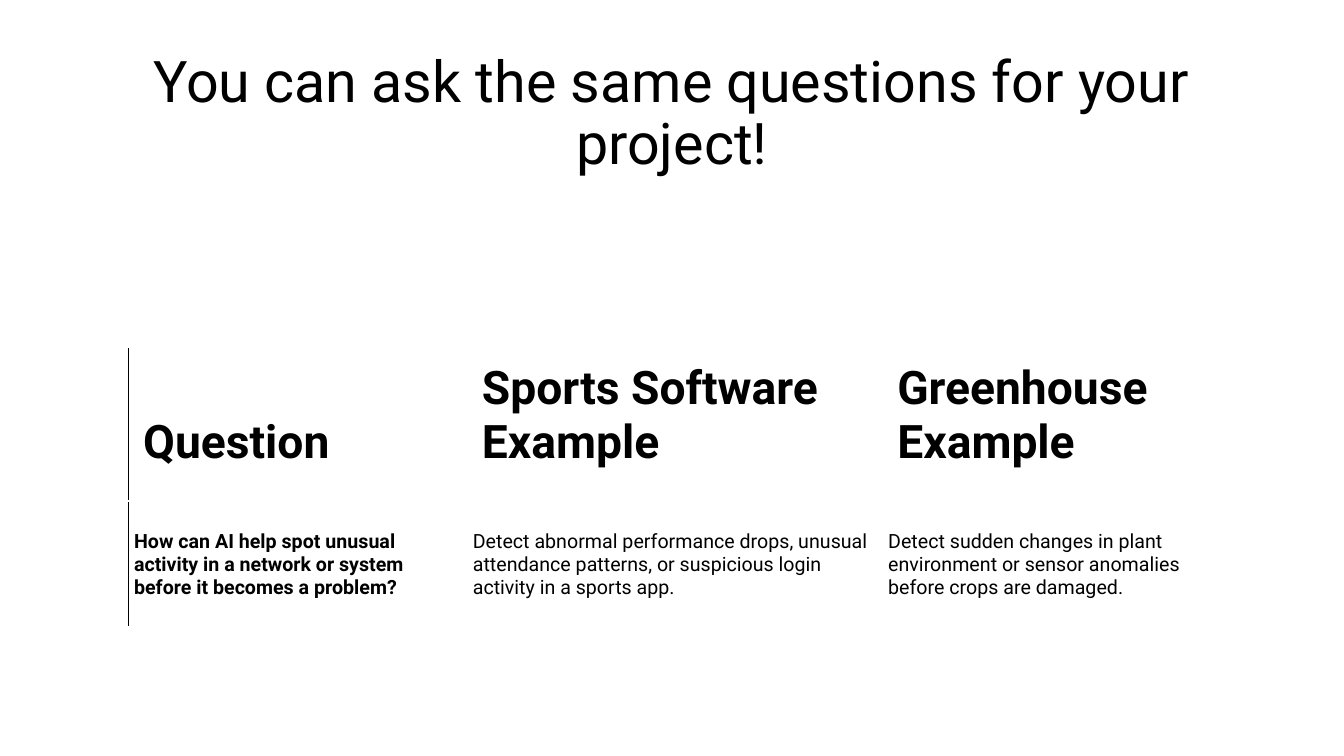
from dataclasses import dataclass

from lxml import etree
from pptx import Presentation
from pptx import util as u
from pptx.dml import color
from pptx.enum import text
from pptx.oxml import ns


@dataclass(frozen=True)
class Theme:
    font: str = "Roboto"
    ink: str = "000000"
    paper: str = "FFFFFF"
    title_size: float = 41
    heading_size: float = 33
    body_size: float = 14
    border_width: float = 0.75


@dataclass(frozen=True)
class RowStyle:
    height: float
    size: float
    anchor: text.MSO_VERTICAL_ANCHOR
    margins: tuple[float, float, float, float]
    bold_columns: tuple[int, ...]


@dataclass(frozen=True)
class TableRow:
    style: RowStyle
    texts: tuple[str, ...]


THEME = Theme()
COLUMN_WIDTHS = (3.36, 4.12, 3.3)
HEADING = RowStyle(1.51, THEME.heading_size, text.MSO_ANCHOR.BOTTOM,
                   (0.15, 0.04, 0.23, 0.31), (0, 1, 2))
BODY = RowStyle(1.25, THEME.body_size, text.MSO_ANCHOR.MIDDLE,
                (0.06, 0.1, 0.06, 0.08), (0,))
ROWS = (
    TableRow(HEADING, ("Question", "Sports Software Example", "Greenhouse Example")),
    TableRow(BODY, (
        "How can AI help spot unusual activity in a network or system "
        "before it becomes a problem?",
        "Detect abnormal performance drops, unusual attendance patterns, "
        "or suspicious login activity in a sports app.",
        "Detect sudden changes in plant environment or sensor anomalies "
        "before crops are damaged.",
    )),
)


def format_runs(paragraph, size: float, bold: bool = False) -> None:
    for run in paragraph.runs:
        run.font.name = THEME.font
        run.font.size = u.Pt(size)
        run.font.bold = bold
        run.font.color.rgb = color.RGBColor.from_string(THEME.ink)


def add_left_border(cell) -> None:
    line = etree.Element(ns.qn("a:lnL"), w=str(u.Pt(THEME.border_width)))
    fill = etree.SubElement(line, ns.qn("a:solidFill"))
    etree.SubElement(fill, ns.qn("a:srgbClr"), val=THEME.ink)
    cell._tc.get_or_add_tcPr().insert(0, line)


def fill_cell(cell, content: str, style: RowStyle, bold: bool) -> None:
    cell.fill.solid()
    cell.fill.fore_color.rgb = color.RGBColor.from_string(THEME.paper)
    cell.vertical_anchor = style.anchor
    (cell.margin_left, cell.margin_top,
     cell.margin_right, cell.margin_bottom) = map(u.Inches, style.margins)
    cell.text_frame.text = content
    format_runs(cell.text_frame.paragraphs[0], style.size, bold)


def add_title(slide, content: str) -> None:
    title = slide.shapes.title
    title.left, title.top = u.Inches(0.7), u.Inches(0.46)
    title.width, title.height = u.Inches(11.93), u.Inches(1.37)
    frame = title.text_frame
    frame.text = content
    frame.word_wrap = True
    frame.auto_size = text.MSO_AUTO_SIZE.NONE
    frame.vertical_anchor = text.MSO_ANCHOR.MIDDLE
    paragraph = frame.paragraphs[0]
    paragraph.alignment = text.PP_ALIGN.CENTER
    paragraph.line_spacing = 0.9
    format_runs(paragraph, THEME.title_size)


def add_question_table(slide) -> None:
    table = slide.shapes.add_table(
        len(ROWS), len(COLUMN_WIDTHS), u.Inches(1.27), u.Inches(3.46),
        u.Inches(sum(COLUMN_WIDTHS)),
        u.Inches(sum(row.style.height for row in ROWS)),
    ).table
    table.first_row = False
    table.horz_banding = False
    for column, width in zip(table.columns, COLUMN_WIDTHS):
        column.width = u.Inches(width)
    for row_index, row in enumerate(ROWS):
        table.rows[row_index].height = u.Inches(row.style.height)
        for column_index, content in enumerate(row.texts):
            fill_cell(table.cell(row_index, column_index), content, row.style,
                      column_index in row.style.bold_columns)
        add_left_border(table.cell(row_index, 0))


def main() -> None:
    presentation = Presentation()
    presentation.slide_width = u.Inches(13.33)
    presentation.slide_height = u.Inches(7.5)
    slide = presentation.slides.add_slide(presentation.slide_layouts[5])
    add_title(slide, "You can ask the same questions for your project!")
    add_question_table(slide)
    presentation.save("out.pptx")


if __name__ == "__main__":
    main()
